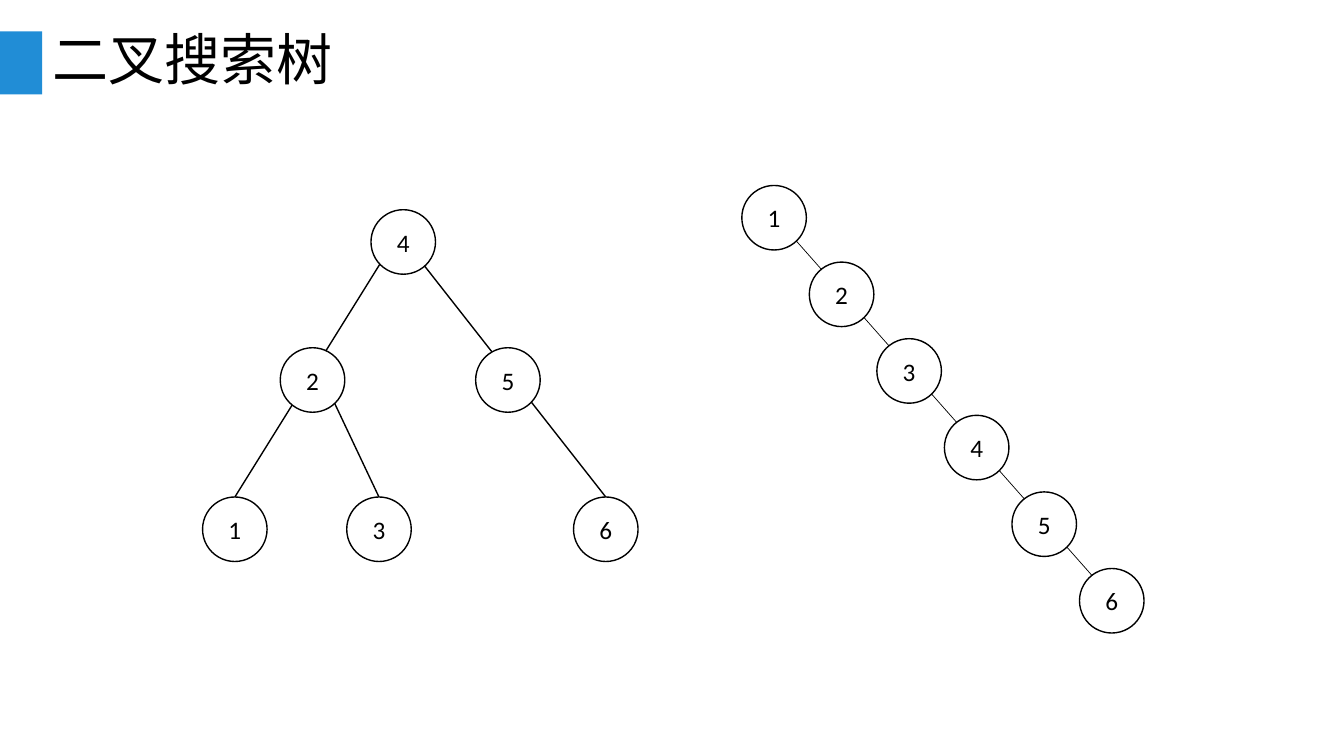
"""Build a slide comparing a balanced and a degenerate binary search tree."""
from dataclasses import dataclass

from lxml.etree import SubElement
from pptx import Presentation
from pptx.dml.color import RGBColor
from pptx.enum.shapes import MSO_CONNECTOR, MSO_SHAPE
from pptx.enum.text import MSO_ANCHOR, MSO_AUTO_SIZE, PP_ALIGN
from pptx.oxml.ns import qn
from pptx.util import Pt


@dataclass(frozen=True)
class Theme:
    accent: RGBColor = RGBColor(0x21, 0x8D, 0xD6)
    ink: RGBColor = RGBColor(0, 0, 0)
    paper: RGBColor = RGBColor(255, 255, 255)
    title_font: str = "Noto Sans CJK SC"
    node_font: str = "Calibri"
    title_size: int = 40
    node_size: int = 18
    node_diameter: float = 46.1


class TreeSlide:
    def __init__(self, slide, theme):
        self.s = slide
        self.theme = theme

    def text(self, sp, text, font, size, align):
        tf = sp.text_frame
        tf.text = text
        tf.word_wrap = True
        tf.auto_size = MSO_AUTO_SIZE.NONE
        tf.vertical_anchor = MSO_ANCHOR.MIDDLE
        p = tf.paragraphs[0]
        p.alignment = align
        r = p.runs[0]
        r.font.name = font
        r.font.size = Pt(size)
        r.font.color.rgb = self.theme.ink
        SubElement(r.font._element, qn("a:ea"), typeface=font)
        return p

    def title(self, text, x, y, w, h):
        sp = self.s.shapes.title
        sp.left, sp.top, sp.width, sp.height = Pt(x), Pt(y), Pt(w), Pt(h)
        p = self.text(sp, text, self.theme.title_font, self.theme.title_size, PP_ALIGN.LEFT)
        p.line_spacing = 0.9

    def shape(self, kind, x, y, w, h, fill):
        sp = self.s.shapes.add_shape(kind, Pt(x), Pt(y), Pt(w), Pt(h))
        sp.shadow.inherit = False
        sp.fill.solid()
        sp.fill.fore_color.rgb = fill
        return sp

    def bar(self, x, y, w, h):
        sp = self.shape(MSO_SHAPE.RECTANGLE, x, y, w, h, self.theme.accent)
        sp.line.fill.background()

    def node(self, key, x, y):
        d = self.theme.node_diameter
        sp = self.shape(MSO_SHAPE.OVAL, x, y, d, d, self.theme.paper)
        sp.line.color.rgb = self.theme.ink
        sp.line.width = Pt(1)
        self.text(sp, str(key), self.theme.node_font, self.theme.node_size, PP_ALIGN.CENTER)

    def edge(self, x1, y1, x2, y2, width=1):
        cx = self.s.shapes.add_connector(MSO_CONNECTOR.STRAIGHT, Pt(x1), Pt(y1), Pt(x2), Pt(y2))
        cx.line.color.rgb = self.theme.ink
        cx.line.width = Pt(width)
        SubElement(cx._element.spPr, qn("a:effectLst"))


BALANCED_NODES = {
    4: (265, 149.8),
    2: (200.2, 248.4), 5: (339.8, 248.4),
    1: (144.7, 355), 3: (247.7, 355), 6: (409.7, 355),
}
BALANCED_EDGES = [
    (298.8, 184.3, 432.7, 355),
    (271.4, 188.6, 167.8, 355),
    (239, 288, 270.7, 355),
]
CHAIN_START = (529.9, 132.5)
CHAIN_STEP = (48.24, 54.72)


def main():
    prs = Presentation()
    prs.slide_width, prs.slide_height = Pt(960), Pt(540)
    tree = TreeSlide(prs.slides.add_slide(prs.slide_layouts[5]), Theme())

    tree.bar(0, 22.5, 30.2, 45)
    tree.title("二叉搜索树", 30.2, 21.6, 900, 46)

    for ends in BALANCED_EDGES:
        tree.edge(*ends)
    tree.edge(568.8, 172.1, 810, 445, width=0.5)

    for key, (x, y) in BALANCED_NODES.items():
        tree.node(key, x, y)
    for i in range(6):
        x, y = (start + i * step for start, step in zip(CHAIN_START, CHAIN_STEP))
        tree.node(i + 1, x, y)

    prs.save("out.pptx")


if __name__ == "__main__":
    main()
